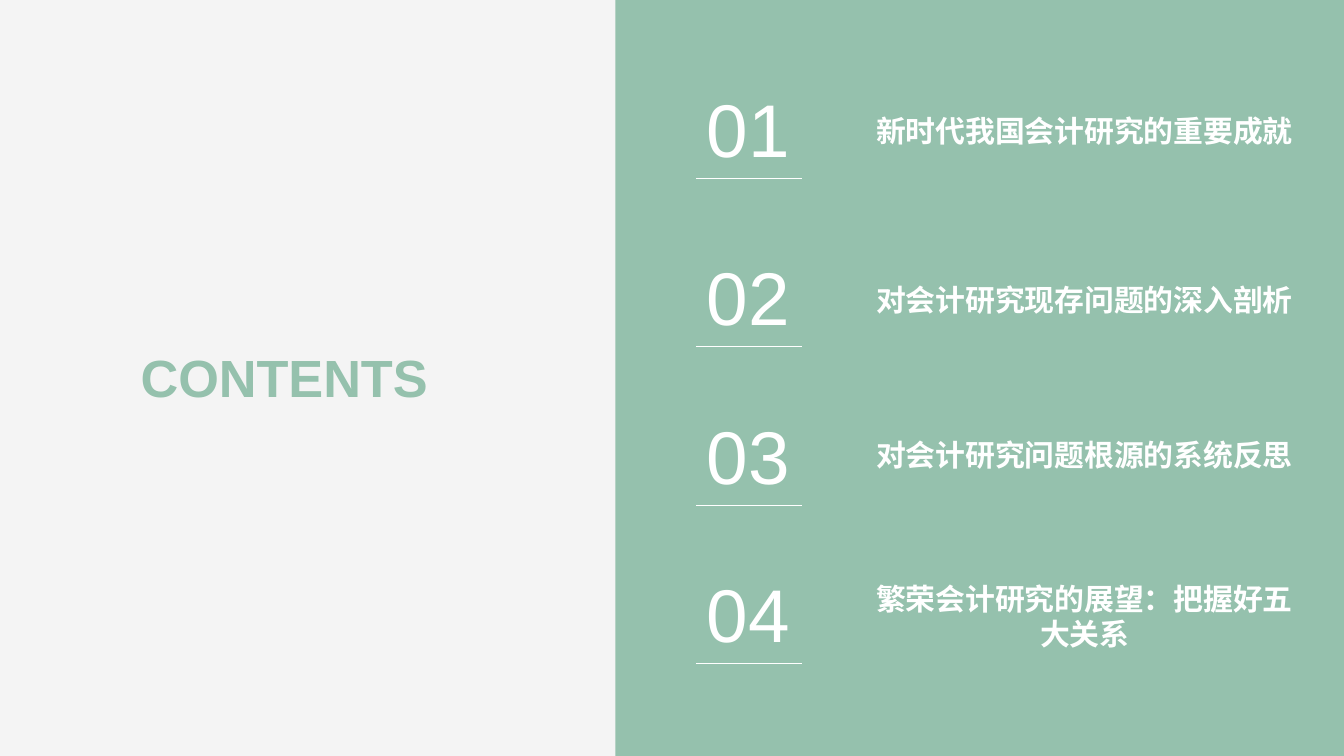
from dataclasses import dataclass

from lxml.etree import SubElement
from pptx import Presentation
from pptx.dml.color import RGBColor
from pptx.enum.shapes import MSO_CONNECTOR, MSO_SHAPE
from pptx.enum.text import MSO_ANCHOR, MSO_AUTO_SIZE, PP_ALIGN
from pptx.oxml.ns import qn
from pptx.shapes.base import BaseShape
from pptx.slide import Slide
from pptx.util import Cm, Pt


@dataclass(frozen=True)
class Theme:
    paper: RGBColor = RGBColor(0xF4, 0xF4, 0xF4)
    green: RGBColor = RGBColor(0x95, 0xC1, 0xAD)
    white: RGBColor = RGBColor(0xFF, 0xFF, 0xFF)
    font: str = "Arial"
    title_size: int = 28
    number_size: int = 40
    label_size: int = 16
    rule_width: float = 0.5


@dataclass(frozen=True)
class Chapter:
    """One contents entry; positions are in centimetres."""
    label: str
    number_top: float
    label_top: float
    label_lines: int = 1


THEME = Theme()
CHAPTERS = [
    Chapter("新时代我国会计研究的重要成就", 1.57, 2.13),
    Chapter("对会计研究现存问题的深入剖析", 4.75, 5.33),
    Chapter("对会计研究问题根源的系统反思", 7.75, 8.25),
    Chapter("繁荣会计研究的展望：把握好五大关系", 10.74, 10.97, 2),
]
LINE_HEIGHT = 0.68
RULE_OFFSET = 1.8


def write_text(box: BaseShape, text: str, size: int, color: RGBColor,
               bold: bool = False, margin: float = 0) -> None:
    frame = box.text_frame
    frame.word_wrap = True
    frame.auto_size = MSO_AUTO_SIZE.SHAPE_TO_FIT_TEXT
    frame.vertical_anchor = MSO_ANCHOR.TOP
    frame.margin_left = frame.margin_right = Cm(margin)
    frame.margin_top = frame.margin_bottom = Cm(margin / 2)
    para = frame.paragraphs[0]
    para.alignment = PP_ALIGN.CENTER
    span = para.add_run()
    span.text = text
    span.font.name = THEME.font
    span.font.size = Pt(size)
    span.font.bold = bold
    span.font.color.rgb = color


def draw_panel(page: Slide, left: float, width: float, height: int) -> None:
    panel = page.shapes.add_shape(MSO_SHAPE.RECTANGLE, Cm(left), 0, Cm(width), height)
    panel.shadow.inherit = False
    panel.fill.solid()
    panel.fill.fore_color.rgb = THEME.green
    panel.line.fill.background()


def draw_title(page: Slide, text: str) -> None:
    title = page.shapes.title
    title.left, title.top, title.width, title.height = Cm(2.26), Cm(6.4), Cm(6.22), Cm(1.45)
    write_text(title, text, THEME.title_size, THEME.green, bold=True, margin=0.25)


def draw_rule(page: Slide, left: float, right: float, top: float) -> None:
    rule = page.shapes.add_connector(
        MSO_CONNECTOR.STRAIGHT, Cm(left), Cm(top), Cm(right), Cm(top))
    rule.line.color.rgb = THEME.white
    rule.line.width = Pt(THEME.rule_width)
    SubElement(rule.line._get_or_add_ln().getparent(), qn("a:effectLst"))


def draw_chapter(page: Slide, index: int, chapter: Chapter) -> None:
    number = page.shapes.add_textbox(Cm(12.34), Cm(chapter.number_top), Cm(3.6), Cm(1.7))
    write_text(number, f"{index:02d}", THEME.number_size, THEME.white)
    draw_rule(page, 13.15, 15.15, chapter.number_top + RULE_OFFSET)
    label = page.shapes.add_textbox(Cm(16.3), Cm(chapter.label_top), Cm(8.4),
                                    Cm(LINE_HEIGHT * chapter.label_lines))
    write_text(label, chapter.label, THEME.label_size, THEME.white, bold=True)


def main() -> None:
    deck = Presentation()
    deck.slide_width, deck.slide_height = Cm(25.4), Cm(14.29)
    page = deck.slides.add_slide(deck.slide_layouts[5])
    page.background.fill.solid()
    page.background.fill.fore_color.rgb = THEME.paper

    # Green right-hand panel and the heading on the left
    draw_panel(page, 11.63, 13.77, deck.slide_height)
    draw_title(page, "CONTENTS")

    # Numbered chapters
    for index, chapter in enumerate(CHAPTERS, start=1):
        draw_chapter(page, index, chapter)

    deck.save("out.pptx")


if __name__ == "__main__":
    main()
